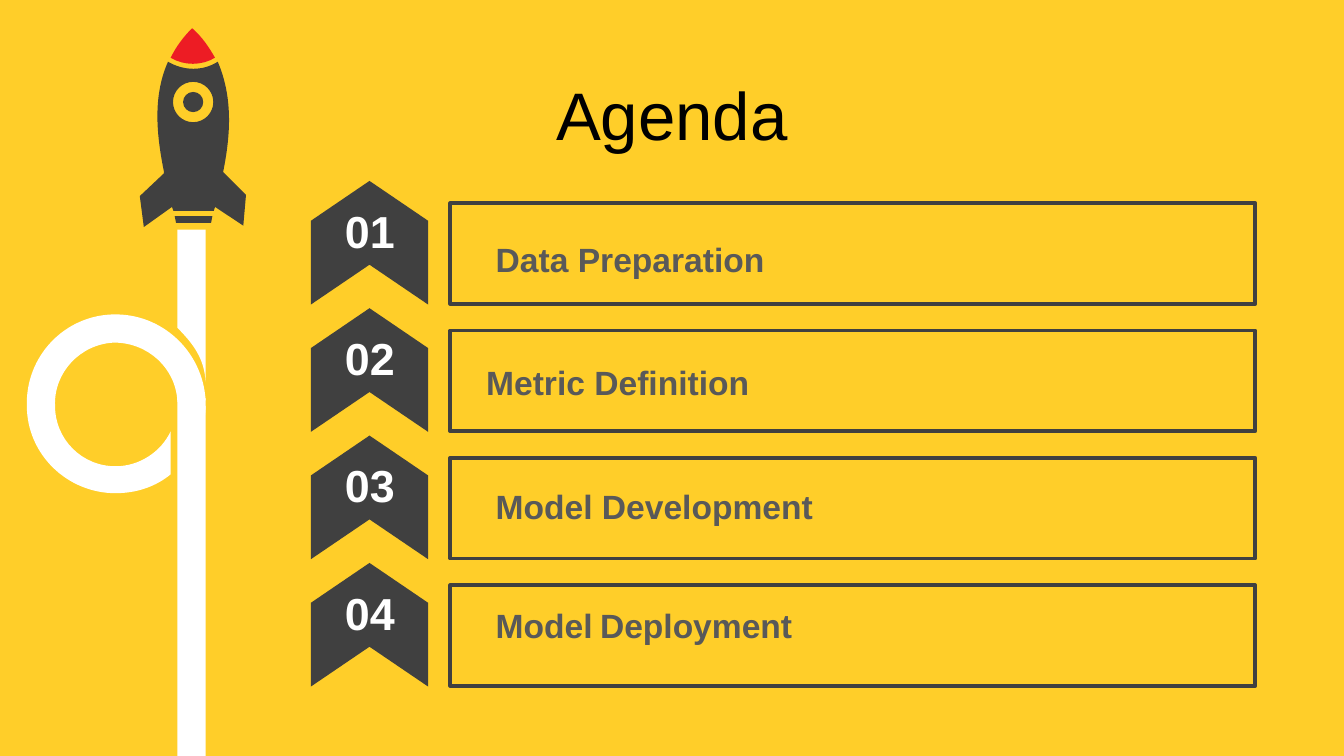
from dataclasses import dataclass

from pptx import Presentation
from pptx.dml.color import RGBColor
from pptx.enum.shapes import MSO_SHAPE
from pptx.enum.text import MSO_ANCHOR, PP_ALIGN
from pptx.oxml.ns import qn
from pptx.util import Inches, Pt

RECTANGLE = MSO_SHAPE.RECTANGLE
CHEVRON = MSO_SHAPE.CHEVRON
ROUNDED_TOP = MSO_SHAPE.ROUND_2_SAME_RECTANGLE
MIDDLE, TOP = MSO_ANCHOR.MIDDLE, MSO_ANCHOR.TOP
CENTER, LEFT = PP_ALIGN.CENTER, PP_ALIGN.LEFT

SLIDE_W, SLIDE_H = Inches(10), Inches(5.625)
FONT = "Arial"
YELLOW, CHARCOAL, GRAY = "FFCE29", "404040", "595959"
WHITE, BLACK, RED = "FFFFFF", "000000", "ED1C24"

AGENDA = [
    (("Data Preparation",), 17.8, 0.36),
    (("Metric Definition",), 16.8, 0.32),
    (("Model Development",), 17.8, 0.3),
    (("Model", " ", "Deployment"), 17.8, 0.23),
]


@dataclass
class Box:
    """A rectangle in EMU that can be divided by a grid."""
    left: float
    top: float
    width: float
    height: float

    def cell(self, grid, left, top, width, height):
        """Return the box at a position counted in grid columns and rows."""
        column, row = self.width / grid[0], self.height / grid[1]
        return Box(self.left + left * column, self.top + top * row,
                   width * column, height * row)

    def edges(self):
        """Return left, top, width and height as whole numbers."""
        return [round(v) for v in (self.left, self.top, self.width, self.height)]


def color(value):
    """Turn a hex string into a colour."""
    return RGBColor.from_string(value)


def paint(shape, fill=None, outline=None):
    """Set the fill and outline of a shape and drop its shadow."""
    shape.shadow.inherit = False
    if fill:
        shape.fill.solid()
        shape.fill.fore_color.rgb = color(fill)
    else:
        shape.fill.background()
    if outline:
        shape.line.color.rgb = color(outline)
        shape.line.width = Pt(2)
    else:
        shape.line.fill.background()
    return shape


def add_preset(slide, kind, box, fill=None, outline=None):
    """Add a painted preset shape that fills the box."""
    return paint(slide.shapes.add_shape(kind, *box.edges()), fill, outline)


def write(shape, parts, size, ink, align, anchor=TOP, bold=True):
    """Write one paragraph of text parts; a lone space is set smaller."""
    frame = shape.text_frame
    frame.word_wrap = True
    frame.vertical_anchor = anchor
    paragraph = frame.paragraphs[0]
    paragraph.alignment = align
    for part in parts:
        run = paragraph.add_run()
        run.text = part
        run.font.name = FONT
        run.font.size = Pt(14 if part == " " else size)
        run.font.bold = bold
        run.font.color.rgb = color(ink)


def circle(x, y, radius):
    """Return a circle as a start point and four Bezier curves."""
    r, k = radius, radius * 0.55
    return [(x, y - r), (x + k, y - r, x + r, y - k, x + r, y),
            (x + r, y + k, x + k, y + r, x, y + r),
            (x - k, y + r, x - r, y + k, x - r, y),
            (x - r, y - k, x - k, y - r, x, y - r)]


def bend(outline, contours):
    """Merge three line segments into one curve for each six-number step."""
    segments = iter(list(outline.element.iter(qn("a:lnTo"))))
    for step in (step for contour in contours for step in contour[1:]):
        segment = next(segments)
        if len(step) == 6:
            segment.tag = qn("a:cubicBezTo")
            for _ in range(2):
                control = next(segments)
                segment.append(control[0])
                control.getparent().remove(control)


def add_outline(slide, box, grid, contours, fill):
    """Add a filled freeform whose contours are given in grid units of the box."""
    placed = [[(box.left + step[i] * box.width / grid[0],
                box.top + step[i + 1] * box.height / grid[1])
               for step in contour for i in range(0, len(step), 2)]
              for contour in contours]
    builder = slide.shapes.build_freeform(*placed[0][0])
    builder.add_line_segments(placed[0][1:])
    for contour in placed[1:]:
        builder.move_to(*contour[0])
        builder.add_line_segments(contour[1:])
    outline = paint(builder.convert_to_shape(), fill)
    bend(outline, contours)


def add_trail(slide, box):
    """Draw the looping white trail below the rocket."""
    grid = (134, 391.5)
    crossing = [(129, 131), (134, 131), (134, 139, 132, 147, 129, 155)]
    loop = [(65, 63), (102, 62, 132, 91, 134, 127), (113, 128),
            (112, 103, 91, 84, 66, 84), (41, 85, 21, 106, 22, 131),
            (22, 156, 42, 176, 67, 176), (85, 176, 101, 165, 108, 150), (108, 182),
            (97, 191, 83, 196, 67, 196), (31, 196, 1, 167, 1, 131),
            (0, 94, 29, 64, 65, 63)]
    strip = [(113, 0), (134, 0), (134, 38, 134, 76, 134, 113),
             (133, 96, 125, 85, 113, 73)]
    add_outline(slide, box, grid, [crossing, loop], WHITE)
    add_outline(slide, box, grid, [strip], WHITE)
    add_preset(slide, RECTANGLE, box.cell(grid, 113, 125, 21, 266.5), WHITE)


def add_rocket(slide, box):
    """Draw the rocket with its porthole, nozzle and red nose."""
    grid = (79, 148)
    nozzle = [(26, 140), (54, 140), (54, 142, 53, 143, 53, 145), (27, 145)]
    body = [(21, 25), (33, 32, 47, 32, 58, 25), (70, 53, 67, 82, 62, 107),
            (79, 124), (77, 147), (56, 133), (55, 136), (25, 136),
            (25, 135, 24, 134, 24, 133), (3, 148), (0, 125), (18, 108), (18, 107),
            (13, 82, 9, 52, 21, 25)]
    nose = [(39, 0), (47, 7, 52, 15, 56, 22), (46, 28, 33, 28, 23, 22),
            (27, 14, 32, 7, 39, 0)]
    porthole = [circle(39.7, 55, radius) for radius in (7.5, 15)]
    add_outline(slide, box, grid, [nozzle, *porthole, body], CHARCOAL)
    add_outline(slide, box, grid, [nose], RED)


def add_agenda_row(slide, box, number, parts, indent, drop):
    """Place a numbered arrow and a framed topic in one row."""
    grid = (100, 1)
    add_preset(slide, RECTANGLE, box.cell(grid, 14.66, 0.15, 85.34, 0.79),
               outline=CHARCOAL)
    topic = add_preset(slide, ROUNDED_TOP, box.cell(grid, indent, drop, 78.5, 0.44))
    write(topic, parts, 18, GRAY, LEFT)
    arrow = add_preset(slide, CHEVRON, box.cell(grid, -0.43, 0, 13.1, 0.92), CHARCOAL)
    arrow.rotation = 270
    arrow.adjustments[0] = 0.34
    label = slide.shapes.add_textbox(*box.cell(grid, 1.8, 0.1, 8.7, 0.53).edges())
    write(label, (f"{number:02d}",), 24, WHITE, CENTER)


def add_agenda(slide, box):
    """Stack the agenda rows evenly in the box."""
    grid = (1, len(AGENDA))
    for i, (parts, indent, drop) in enumerate(AGENDA):
        add_agenda_row(slide, box.cell(grid, 0, i, 1, 1), i + 1, parts, indent, drop)


def add_title(slide, box):
    """Place the slide title in the middle of the box."""
    title = slide.shapes.title
    title.left, title.top, title.width, title.height = box.edges()
    write(title, ("Agenda",), 36, BLACK, CENTER, MIDDLE, bold=False)


def main():
    """Build the agenda slide."""
    deck = Presentation()
    deck.slide_width, deck.slide_height = SLIDE_W, SLIDE_H
    slide = deck.slides.add_slide(deck.slide_layouts[5])
    slide.background.fill.solid()
    slide.background.fill.fore_color.rgb = color(YELLOW)
    page, grid = Box(0, 0, SLIDE_W, SLIDE_H), (1000, 562.5)
    add_title(slide, page.cell(grid, 0, 53, 1000, 63))
    add_trail(slide, page.cell(grid, 19, 171, 134, 391.5))
    add_rocket(slide, page.cell(grid, 104, 21, 79, 148))
    add_agenda(slide, page.cell(grid, 232, 137, 702, 379))
    deck.save("out.pptx")


if __name__ == "__main__":
    main()
